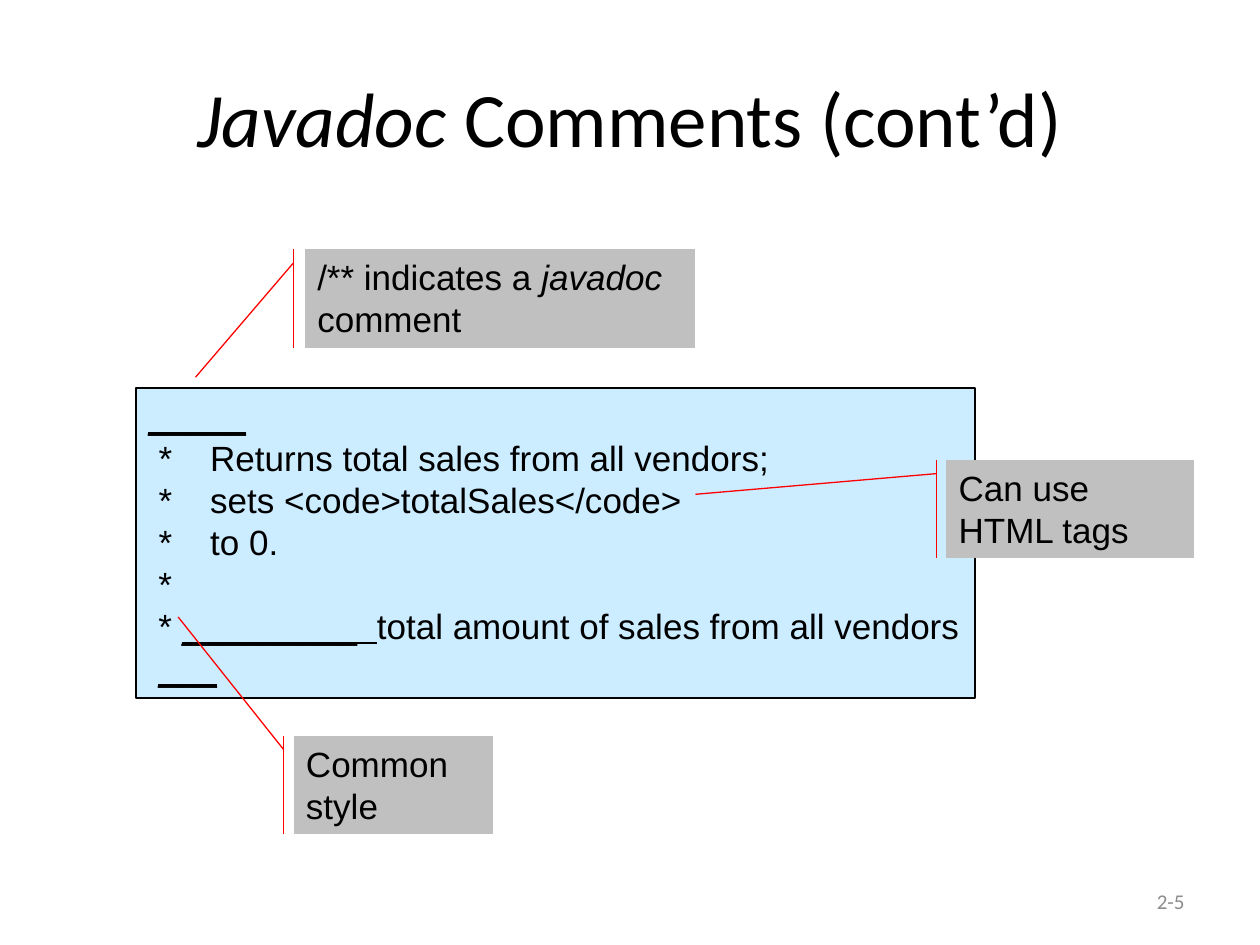
from typing import NamedTuple

from pptx import Presentation
from pptx import util as u
from pptx.dml.color import RGBColor
from pptx.enum import shapes, text

HUES = {"ink": "000000", "code": "CCECFF", "note": "C0C0C0", "lead": "FF0000", "num": "8C8C8C"}
KIND = shapes.MSO_SHAPE
SIDE = text.PP_ALIGN
EDGE = text.MSO_ANCHOR


class Run(NamedTuple):
    words: str
    style: str = ""


class Line(NamedTuple):
    runs: list[Run]
    left: float = 0
    hang: float = 0


class Box(NamedTuple):
    left: float
    top: float
    width: float
    height: float


class Note(NamedTuple):
    box: Box
    runs: list[Run]
    bends: tuple[float, ...]


def star(words: str) -> Line:
    return Line([Run(f"*\t{words}")], 0.49, 0.41)


CODE = [
    Line([Run("_____", "u")]),
    star("Returns total sales from all vendors;"),
    star("sets <code>totalSales</code>"),
    star("to 0."),
    Line([Run("*")], 0.08),
    Line([Run("* "), Run("_________  ", "u"), Run("total amount of sales from all vendors")], 0.08),
    Line([Run("___", "u")], 0.08),
]

NOTES = [
    Note(Box(2.42, 1.98, 3.1, 0.78),
         [Run("/** indicates a "), Run("javadoc", "i"), Run(" comment")],
         (0.14, -0.03, 1.3, -0.28)),
    Note(Box(7.51, 3.65, 1.97, 0.78), [Run("Can use HTML tags")], (0.14, -0.04, 0.35, -1.01)),
    Note(Box(2.33, 5.84, 1.58, 0.78), [Run("Common style")], (0.14, -0.05, -1.21, -0.58)),
]


def tint(key: str) -> RGBColor:
    return RGBColor.from_string(HUES[key])


def place(box: Box) -> list[u.Length]:
    return [u.Inches(side) for side in box]


def write(frame, lines: list[Line], *, size: int = 20, font: str = "Arial",
          hue: str = "ink", align=SIDE.LEFT, anchor=EDGE.TOP) -> None:
    frame.word_wrap = True
    frame.vertical_anchor = anchor
    for at, line in enumerate(lines):
        para = frame.add_paragraph() if at else frame.paragraphs[0]
        para.alignment = align
        if line.left:
            props = para._p.get_or_add_pPr()
            props.set("marL", str(u.Inches(line.left)))
            props.set("indent", str(u.Inches(-line.hang)))
        for part in line.runs:
            run = para.add_run()
            run.text = part.words
            run.font.size = u.Pt(size)
            run.font.name = font
            run.font.color.rgb = tint(hue)
            run.font.italic = "i" in part.style
            run.font.underline = "u" in part.style


def draw(slide, kind, box: Box, lines: list[Line], fill: str, edge: str,
         bends: tuple[float, ...] = ()) -> None:
    shape = slide.shapes.add_shape(kind, *place(box))
    shape.shadow.inherit = False
    shape.fill.solid()
    shape.fill.fore_color.rgb = tint(fill)
    shape.line.color.rgb = tint(edge)
    shape.line.width = u.Pt(0.75)
    for at, bend in enumerate(bends):
        shape.adjustments[at] = bend
    write(shape.text_frame, lines)


def main() -> None:
    deck = Presentation()
    deck.slide_width, deck.slide_height = u.Inches(10), u.Inches(7.5)
    slide = deck.slides.add_slide(deck.slide_layouts[5])

    title = slide.shapes.title
    title.left, title.top, title.width, title.height = place(Box(0.5, 0.3, 9, 1.25))
    write(title.text_frame, [Line([Run("Javadoc ", "i"), Run("Comments (cont’d)")])],
          size=44, font="Calibri", align=SIDE.CENTER, anchor=EDGE.MIDDLE)

    draw(slide, KIND.RECTANGLE, Box(1.08, 3.08, 6.66, 2.46), CODE, "code", "ink")
    for note in NOTES:
        draw(slide, KIND.LINE_CALLOUT_1_ACCENT_BAR, note.box, [Line(note.runs)],
             "note", "lead", note.bends)

    page = slide.shapes.add_textbox(*place(Box(7.17, 6.95, 2.33, 0.4)))
    write(page.text_frame, [Line([Run("2-5")])], size=12, font="Calibri", hue="num",
          align=SIDE.RIGHT, anchor=EDGE.MIDDLE)

    deck.save("out.pptx")


if __name__ == "__main__":
    main()
